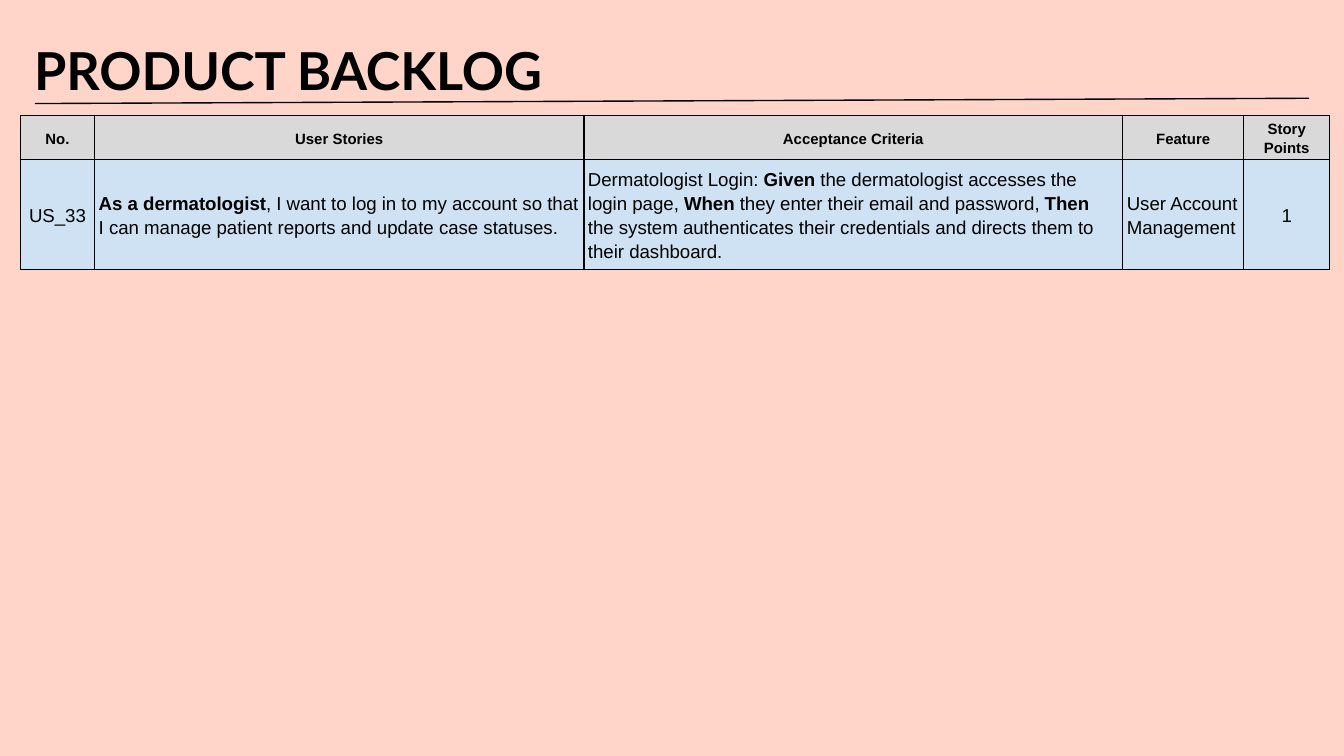
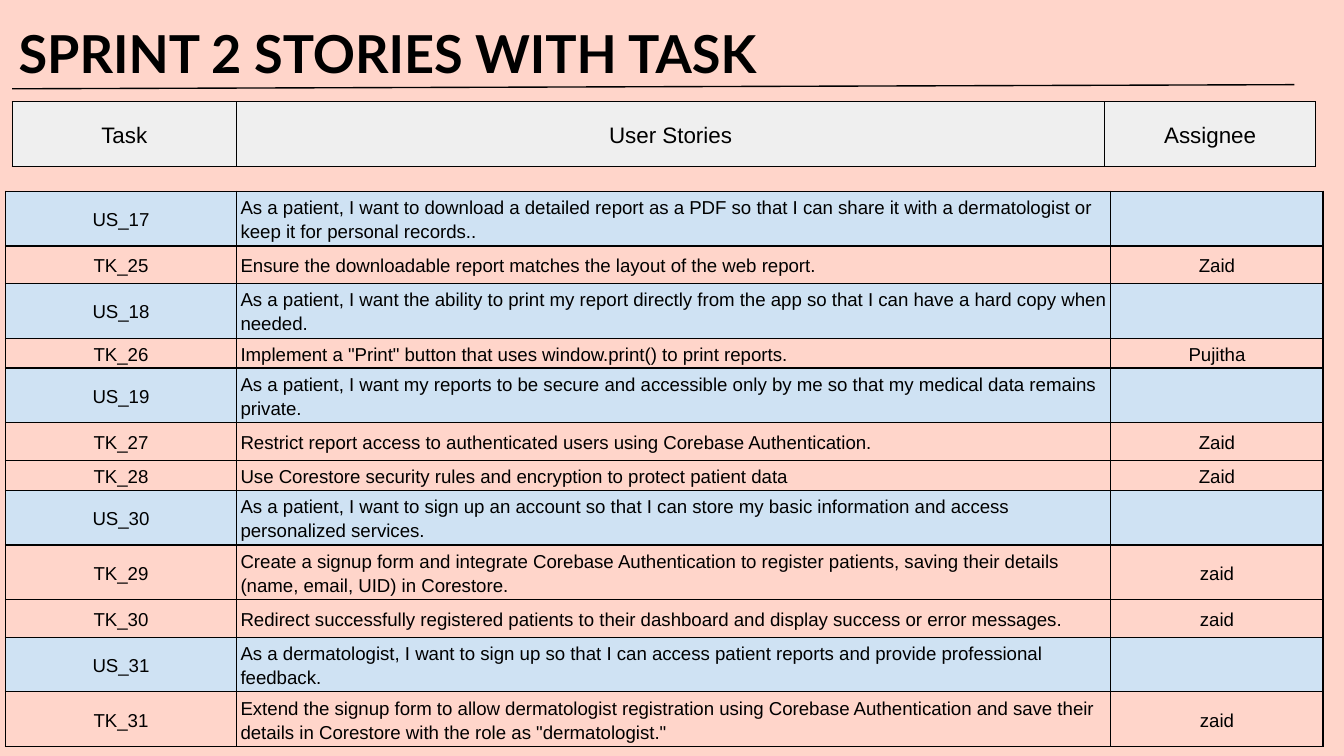
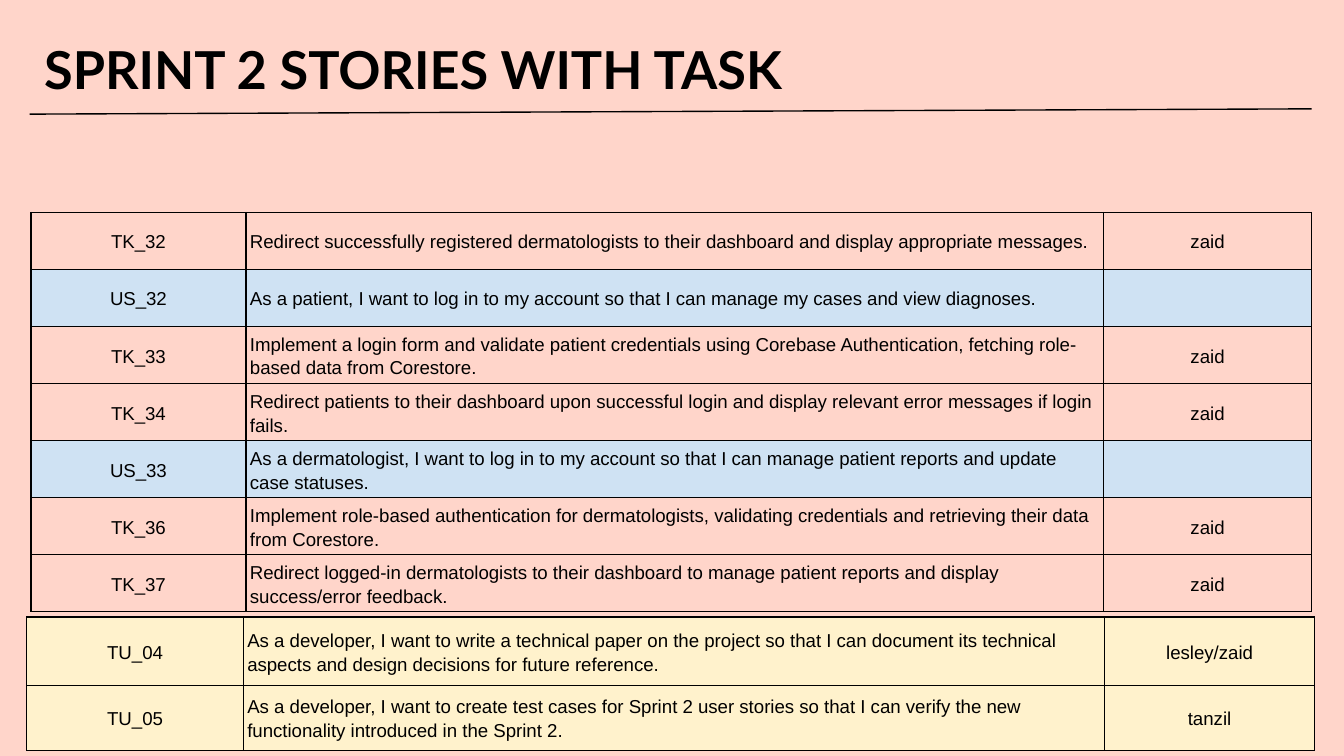
from dataclasses import dataclass
from typing import NamedTuple

from lxml.etree import SubElement
from pptx import Presentation
from pptx.dml.color import RGBColor
from pptx.enum.shapes import MSO_CONNECTOR
from pptx.enum.text import MSO_ANCHOR, PP_ALIGN
from pptx.oxml.ns import qn
from pptx.slide import Slide
from pptx.table import _Cell
from pptx.text.text import _Paragraph
from pptx.util import Emu, Inches, Length, Pt

COLORS = {
    "page": "FFD5CA",
    "ink": "000000",
    "backlog_header": "D9D9D9",
    "sprint_header": "EFEFEF",
    "story": "CFE2F3",
    "technical": "FFF2CC",
}
FILL_BY_PREFIX = {"US": "story", "TU": "technical"}
TITLE_FONT, BODY_FONT = "Lato", "Arial"
RULE_WIDTH = Pt(0.75)
SLIDE_WIDTH = Inches(10)
SLIDE_HEIGHT = Emu(SLIDE_WIDTH * 9 // 16)
BOLD_MARK = "**"
TALL, MEDIUM, SHORT = 7.25, 4.95, 3.96


class Heading(NamedTuple):
    text: str
    left: float
    top: float
    width: float
    height: float


class Underline(NamedTuple):
    left: float
    start: float
    right: float
    end: float


@dataclass(frozen=True)
class Grid:
    left: float
    top: float
    columns: tuple[float, ...]
    heights: tuple[float, ...]
    rows: tuple[tuple[str, ...], ...]
    header_fill: str | None = None
    header_size: float = 10
    header_bold: bool = False
    prose: tuple[int, ...] = (1,)


class Page(NamedTuple):
    heading: Heading
    underline: Underline
    grids: tuple[Grid, ...]


BACKLOG = Grid(
    1.5, 15.3, (5.55, 36.4, 40.1, 9, 6.4), (5.16, 14.6),
    (
        ("No.", "User Stories", "Acceptance Criteria", "Feature", "Story Points"),
        (
            "US_33",
            "**As a dermatologist**, I want to log in to my account so that I can manage patient "
            "reports and update case statuses.",
            "Dermatologist Login: **Given** the dermatologist accesses the login page, **When **they "
            "enter their email and password, **Then** the system authenticates their credentials "
            "and directs them to their dashboard.",
            "User Account Management",
            "1",
        ),
    ),
    header_fill="backlog_header", header_size=8, header_bold=True, prose=(1, 2, 3),
)

SPRINT_ROWS = Grid(
    0.4, 25.3, (17.2, 65.05, 15.8),
    (TALL, MEDIUM, TALL, SHORT, TALL, MEDIUM, SHORT, TALL, TALL, MEDIUM, TALL, TALL),
    (
        ("US_17", "As a patient, I want to download a detailed report as a PDF so that I can share "
         "it with a dermatologist or keep it for personal records..", ""),
        ("TK_25", "Ensure the downloadable report matches the layout of the web report.", "Zaid"),
        ("US_18", "As a patient, I want the ability to print my report directly from the app so "
         "that I can have a hard copy when needed.", ""),
        ("TK_26", 'Implement a "Print" button that uses window.print() to print reports.', "Pujitha"),
        ("US_19", "As a patient, I want my reports to be secure and accessible only by me so that "
         "my medical data remains private.", ""),
        ("TK_27", "Restrict report access to authenticated users using Corebase Authentication.",
         "Zaid"),
        ("TK_28", "Use Corestore security rules and encryption to protect patient data", "Zaid"),
        ("US_30", "As a patient, I want to sign up an account so that I can store my basic "
         "information and access personalized services.", ""),
        ("TK_29", "Create a signup form and integrate Corebase Authentication to register "
         "patients, saving their details (name, email, UID) in Corestore.", "zaid"),
        ("TK_30", "Redirect successfully registered patients to their dashboard and display "
         "success or error messages.", "zaid"),
        ("US_31", "As a dermatologist, I want to sign up so that I can access patient reports and "
         "provide professional feedback.", ""),
        ("TK_31", "Extend the signup form to allow dermatologist registration using Corebase "
         'Authentication and save their details in Corestore with the role as "dermatologist."',
         "zaid"),
    ),
)

SPRINT_HEADER = Grid(
    0.9, 13.45, (16.7, 64.6, 15.7), (8.53,), (("Task", "User Stories", "Assignee"),),
    header_fill="sprint_header", header_size=12,
)

LOGIN_ROWS = Grid(
    2.3, 28.1, (16, 63.8, 15.5), (7.55,) * 7,
    (
        ("TK_32", "Redirect successfully registered dermatologists to their dashboard and display "
         "appropriate messages.", "zaid"),
        ("US_32", "As a patient, I want to log in to my account so that I can manage my cases and "
         "view diagnoses.", ""),
        ("TK_33", "Implement a login form and validate patient credentials using Corebase "
         "Authentication, fetching role-based data from Corestore.", "zaid"),
        ("TK_34", "Redirect patients to their dashboard upon successful login and display relevant "
         "error messages if login fails.", "zaid"),
        ("US_33", "As a dermatologist, I want to log in to my account so that I can manage patient "
         "reports and update case statuses.", ""),
        ("TK_36", "Implement role-based authentication for dermatologists, validating credentials "
         "and retrieving their data from Corestore.", "zaid"),
        ("TK_37", "Redirect logged-in dermatologists to their dashboard to manage patient reports "
         "and display success/error feedback.", "zaid"),
    ),
)

TECHNICAL_ROWS = Grid(
    2, 81.6, (16.1, 64.1, 15.6), (9.05, 8.6),
    (
        ("TU_04", "As a developer, I want to write a technical paper on the project so that I can "
         "document its technical aspects and design decisions for future reference.", "lesley/zaid"),
        ("TU_05", "As a developer, I want to create test cases for Sprint 2 user stories so that I "
         "can verify the new functionality introduced in the Sprint 2.", "tanzil"),
    ),
)

SPRINT_TITLE = "SPRINT 2 STORIES WITH TASK"
PAGES = (
    Page(Heading("PRODUCT BACKLOG", 1.55, 3.3, 84.3, 11.2),
         Underline(2.6, 13.7, 97.4, 13), (BACKLOG,)),
    Page(Heading(SPRINT_TITLE, 0.4, 1.1, 86, 8.4),
         Underline(0.9, 11.75, 96.3, 11.2), (SPRINT_ROWS, SPRINT_HEADER)),
    Page(Heading(SPRINT_TITLE, 2.3, 3.2, 89.8, 16.7),
         Underline(2.2, 15.1, 97.6, 14.4), (LOGIN_ROWS, TECHNICAL_ROWS)),
)


def across(percent: float) -> Length:
    return Emu(round(SLIDE_WIDTH * percent / 100))


def down(percent: float) -> Length:
    return Emu(round(SLIDE_HEIGHT * percent / 100))


def color(key: str) -> RGBColor:
    return RGBColor.from_string(COLORS[key])


def add_run(paragraph: _Paragraph, text: str, font: str, size: float, bold: bool) -> None:
    run = paragraph.add_run()
    run.text = text
    run.font.name = font
    run.font.size = Pt(size)
    run.font.bold = bold
    run.font.color.rgb = color("ink")


def draw_heading(slide: Slide, heading: Heading) -> None:
    box = slide.shapes.add_textbox(across(heading.left), down(heading.top),
                                   across(heading.width), down(heading.height))
    frame = box.text_frame
    frame.word_wrap = True
    frame.margin_left = frame.margin_right = Inches(0.1)
    frame.margin_top = frame.margin_bottom = Inches(0.1)
    add_run(frame.paragraphs[0], heading.text, TITLE_FONT, 28, True)


def draw_underline(slide: Slide, underline: Underline) -> None:
    rule = slide.shapes.add_connector(
        MSO_CONNECTOR.STRAIGHT, across(underline.left), down(underline.start),
        across(underline.right), down(underline.end))
    rule.line.color.rgb = color("ink")
    rule.line.width = RULE_WIDTH
    SubElement(rule._element.spPr, qn("a:effectLst"))


def add_borders(cell: _Cell) -> None:
    properties = cell._tc.get_or_add_tcPr()
    for side in ("a:lnL", "a:lnR", "a:lnT", "a:lnB"):
        border = SubElement(properties, qn(side), w=str(int(RULE_WIDTH)))
        SubElement(SubElement(border, qn("a:solidFill")), qn("a:srgbClr"), val=COLORS["ink"])


def fill_cell(cell: _Cell, text: str, fill: str | None, size: float, bold: bool,
              centred: bool) -> None:
    cell.margin_left = cell.margin_right = Inches(0.03)
    cell.margin_top = cell.margin_bottom = Inches(0.01)
    cell.vertical_anchor = MSO_ANCHOR.MIDDLE
    add_borders(cell)
    if fill:
        cell.fill.solid()
        cell.fill.fore_color.rgb = color(fill)
    else:
        cell.fill.background()
    paragraph = cell.text_frame.paragraphs[0]
    paragraph.alignment = PP_ALIGN.CENTER if centred else PP_ALIGN.LEFT
    paragraph.line_spacing = 1.15
    for index, part in enumerate(text.split(BOLD_MARK)):
        if part:
            add_run(paragraph, part, BODY_FONT, size, bold or index % 2 == 1)


def draw_grid(slide: Slide, grid: Grid) -> None:
    table = slide.shapes.add_table(
        len(grid.rows), len(grid.columns), across(grid.left), down(grid.top),
        across(sum(grid.columns)), down(sum(grid.heights))).table
    table.first_row = grid.header_fill is not None
    table.horz_banding = False
    for column, width in zip(table.columns, grid.columns):
        column.width = across(width)
    for row_index, (height, texts) in enumerate(zip(grid.heights, grid.rows)):
        table.rows[row_index].height = down(height)
        is_header = row_index == 0 and grid.header_fill is not None
        fill = grid.header_fill if is_header else FILL_BY_PREFIX.get(texts[0][:2])
        size = grid.header_size if is_header else 10
        for column_index, text in enumerate(texts):
            fill_cell(table.cell(row_index, column_index), text, fill, size,
                      is_header and grid.header_bold,
                      is_header or column_index not in grid.prose)


def main() -> None:
    deck = Presentation()
    deck.slide_width, deck.slide_height = SLIDE_WIDTH, SLIDE_HEIGHT
    for page in PAGES:
        slide = deck.slides.add_slide(deck.slide_layouts[6])
        slide.background.fill.solid()
        slide.background.fill.fore_color.rgb = color("page")
        draw_heading(slide, page.heading)
        draw_underline(slide, page.underline)
        for grid in page.grids:
            draw_grid(slide, grid)
    deck.save("out.pptx")


if __name__ == "__main__":
    main()
